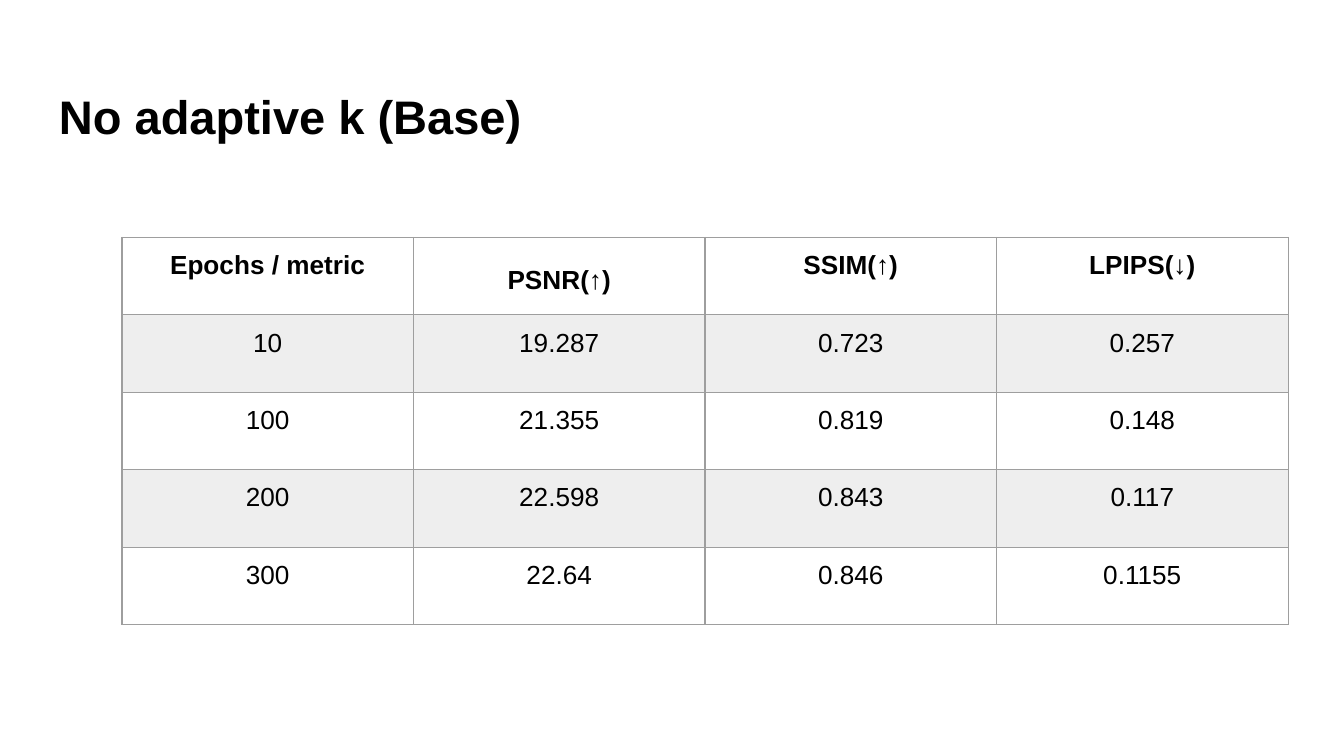
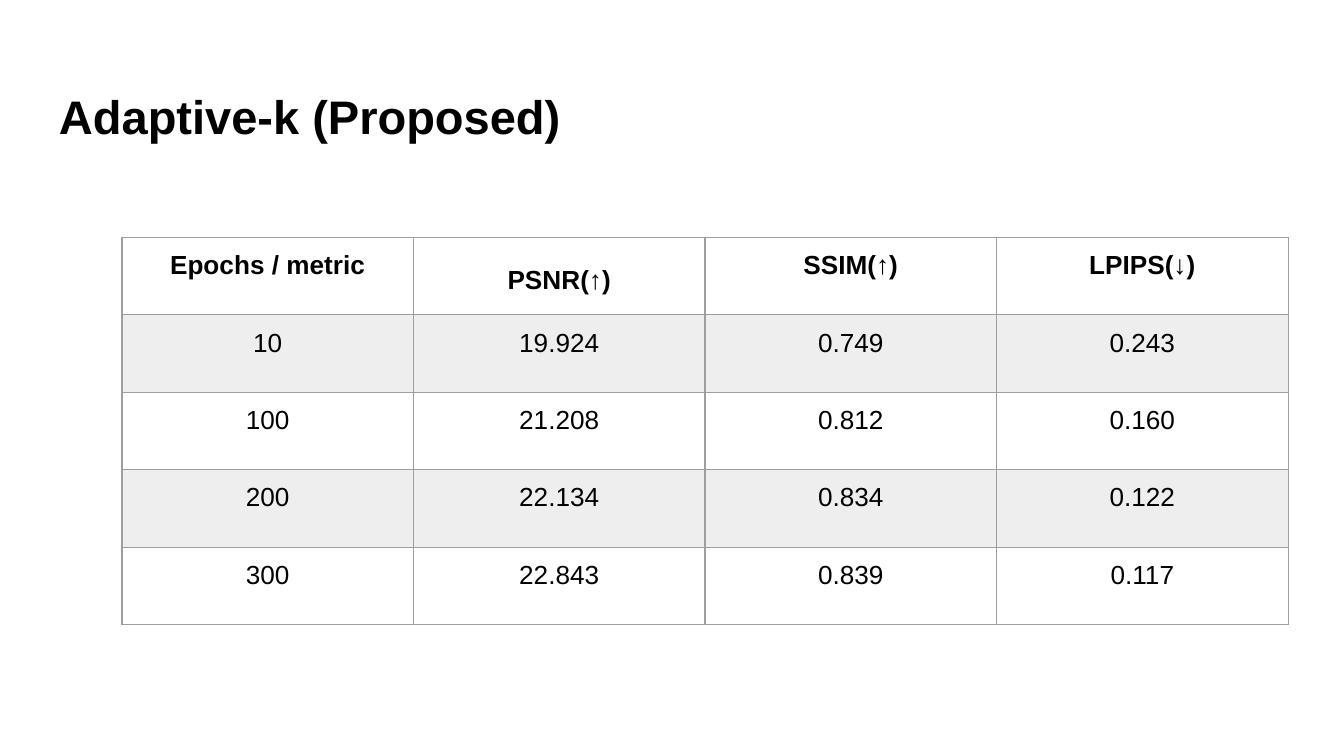
from dataclasses import dataclass

from lxml import etree
from pptx import Presentation
from pptx.dml.color import RGBColor
from pptx.enum import text
from pptx.oxml.ns import qn
from pptx.util import Pt

FONT = "Arial"
BLACK, BAND, BORDER = "000000", "EEEEEE", "9E9E9E"
INSET = Pt(7.2)
ROW_HEIGHT, COLUMN_WIDTH = Pt(41.5), Pt(156.2)
HEADERS = ("Epochs / metric", "PSNR(↑)", "SSIM(↑)", "LPIPS(↓)")


@dataclass(frozen=True)
class ResultSlide:
    title: str
    rows: tuple[tuple[str, ...], ...]


RESULTS = (
    ResultSlide("No adaptive k (Base)", (
        ("10", "19.287", "0.723", "0.257"),
        ("100", "21.355", "0.819", "0.148"),
        ("200", "22.598", "0.843", "0.117"),
        ("300", "22.64", "0.846", "0.1155"),
    )),
    ResultSlide("Adaptive-k (Proposed)", (
        ("10", "19.924", "0.749", "0.243"),
        ("100", "21.208", "0.812", "0.160"),
        ("200", "22.134", "0.834", "0.122"),
        ("300", "22.843", "0.839", "0.117"),
    )),
)


def color(value: str) -> RGBColor:
    return RGBColor.from_string(value)


def set_insets(target) -> None:
    """Give a text frame or a table cell the same margin on every side."""
    for side in ("left", "right", "top", "bottom"):
        setattr(target, f"margin_{side}", INSET)


def style_paragraph(paragraph, size: float, bold: bool) -> None:
    font = paragraph.font
    font.name, font.size, font.bold = FONT, Pt(size), bold
    font.color.rgb = color(BLACK)


def add_title(slide, title: str) -> None:
    box = slide.shapes.add_textbox(Pt(24.5), Pt(35.3), Pt(671), Pt(45.4))
    frame = box.text_frame
    frame.word_wrap = True
    frame.vertical_anchor = text.MSO_ANCHOR.TOP
    set_insets(frame)
    paragraph = frame.paragraphs[0]
    paragraph.text = title
    paragraph.line_spacing = 1.15
    style_paragraph(paragraph, 25.2, True)


def add_borders(cell) -> None:
    properties = cell._tc.get_or_add_tcPr()
    for side in ("lnL", "lnR", "lnT", "lnB"):
        line = etree.SubElement(properties, qn(f"a:{side}"), w=str(Pt(0.75)))
        fill = etree.SubElement(line, qn("a:solidFill"))
        etree.SubElement(fill, qn("a:srgbClr"), val=BORDER)


def fill_cell(cell, value: str, header: bool, banded: bool) -> None:
    set_insets(cell)
    add_borders(cell)
    if banded:
        cell.fill.solid()
        cell.fill.fore_color.rgb = color(BAND)
    else:
        cell.fill.background()
    paragraph = cell.text_frame.paragraphs[0]
    paragraph.text = value
    paragraph.alignment = text.PP_ALIGN.CENTER
    style_paragraph(paragraph, 14, header)


def add_results_table(slide, rows: tuple[tuple[str, ...], ...]) -> None:
    lines = (HEADERS, *rows)
    table = slide.shapes.add_table(
        len(lines), len(HEADERS), Pt(65.3), Pt(127.2),
        COLUMN_WIDTH * len(HEADERS), ROW_HEIGHT * len(lines)).table
    table.first_row = table.horz_banding = False
    for column in table.columns:
        column.width = COLUMN_WIDTH
    for row_index, values in enumerate(lines):
        table.rows[row_index].height = ROW_HEIGHT
        for column_index, value in enumerate(values):
            fill_cell(table.cell(row_index, column_index), value,
                      header=row_index == 0, banded=row_index % 2 == 1)
    table.cell(0, 1).text_frame.paragraphs[0].line_spacing = 1.5


def main() -> None:
    presentation = Presentation()
    presentation.slide_width, presentation.slide_height = Pt(720), Pt(405)
    for result in RESULTS:
        slide = presentation.slides.add_slide(presentation.slide_layouts[6])
        add_title(slide, result.title)
        add_results_table(slide, result.rows)
    presentation.save("out.pptx")


if __name__ == "__main__":
    main()
